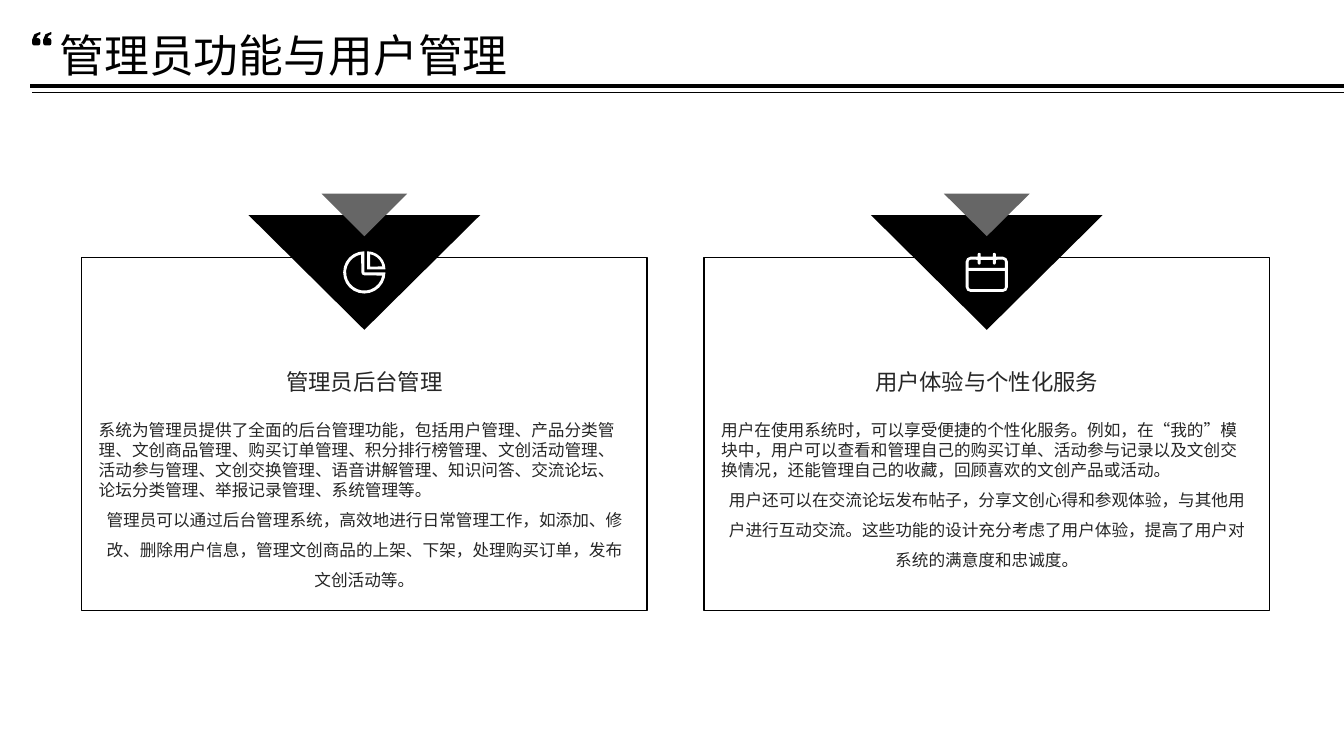
from dataclasses import dataclass
from math import cos, radians, sin

from lxml.etree import SubElement
from pptx import Presentation
from pptx.dml.color import RGBColor
from pptx.enum.shapes import MSO_CONNECTOR, MSO_SHAPE
from pptx.enum.text import MSO_ANCHOR, MSO_AUTO_SIZE, PP_ALIGN
from pptx.oxml.ns import qn
from pptx.shapes.base import BaseShape
from pptx.slide import Slide
from pptx.text.text import TextFrame
from pptx.util import Length, Pt

Points = list[tuple[float, float]]


@dataclass(frozen=True)
class Theme:
    font: str = "Noto Sans CJK SC"
    black: RGBColor = RGBColor(0, 0, 0)
    white: RGBColor = RGBColor(255, 255, 255)
    gray: RGBColor = RGBColor(0x66, 0x66, 0x66)
    ink: RGBColor = RGBColor(0x26, 0x26, 0x26)
    title_size: Length = Pt(32)
    heading_size: Length = Pt(16)
    body_size: Length = Pt(11.9)


@dataclass(frozen=True)
class Panel:
    heading: str
    summary: str
    detail: str
    icon: list[Points]


@dataclass(frozen=True)
class Triangle:
    top: float
    width: float
    height: float
    color: RGBColor


THEME = Theme()
PANEL_LEFT, PANEL_TOP, PANEL_WIDTH, PANEL_HEIGHT = 58.3, 183.8, 403.9, 252.4
PANEL_PITCH = 444.6
TEXT_WIDTH = 379.4
ICON_MIDDLE = 194.6
RULE_LEFT, SLIDE_WIDTH, SLIDE_HEIGHT = 23, 960, 540
TRIANGLES = [
    Triangle(153.6, 165.6, 82, THEME.black),
    Triangle(138.4, 61.2, 30.3, THEME.gray),
]


def arc(x: float, y: float, radius: float, start: int, end: int) -> Points:
    """Points on a circle; angles in degrees run clockwise from the right."""
    steps = round(abs(end - start) / (15 if radius > 10 else 45))
    angles = [radians(start + (end - start) * i / steps) for i in range(steps + 1)]
    return [(x + radius * cos(a), y + radius * sin(a)) for a in angles]


def ring_tabs(edge: float, middle: float, end_angle: int) -> Points:
    """Round-ended tabs of the calendar, standing on or hanging from an edge."""
    points: Points = []
    for x in (-5.4, 5.4):
        points += [(x - 1.1, edge), *arc(x, middle, 1.1, 180, end_angle), (x + 1.1, edge)]
    return points


def calendar_top(radius: float, tabs: Points) -> Points:
    return arc(-11.5, -7.6, radius, 180, 270) + tabs + arc(11.5, -7.6, radius, 270, 360)


def calendar_bottom(radius: float) -> Points:
    return arc(11.5, 10.4, radius, 0, 90) + arc(-11.5, 10.4, radius, 90, 180)


def quote_mark(left: float) -> Points:
    mark = [
        (5.8, 0), (5.8, 1.5), (4, 2.4), (2.9, 4.3),
        *arc(4.3, 5.8, 1.5, 270, 360), *arc(4.3, 8, 1.5, 0, 90),
        *arc(1.5, 8, 1.5, 90, 180), *arc(5.3, 5.3, 5.3, 180, 270),
    ]
    return [(left + x, y) for x, y in mark]


PIE_ICON = [
    arc(0, 0, 15.1, 0, 270) + [(0, 0)],
    arc(0, 0, 13, 10, 260) + arc(0, 0, 2.1, 180, 90),
    arc(2.1, -2.1, 13, 270, 360) + [(2.1, -2.1)],
    arc(2.1, -2.1, 11.1, 281, 349) + [(4.2, -4.2)],
]
CALENDAR_ICON = [
    calendar_top(3.6, ring_tabs(-11.2, -12.9, 360)) + calendar_bottom(3.6),
    calendar_top(1.5, ring_tabs(-9, -6.7, 0)) + [(13, -3.2), (-13, -3.2)],
    [(-13, -1.1), (13, -1.1)] + calendar_bottom(1.5),
]
PANELS = [
    Panel(
        "管理员后台管理",
        "系统为管理员提供了全面的后台管理功能，包括用户管理、产品分类管理、文创商品管理、购买订单管理、积分排行榜管理、文创活动管理、活动参与管理、文创交换管理、语音讲解管理、知识问答、交流论坛、论坛分类管理、举报记录管理、系统管理等。",
        "管理员可以通过后台管理系统，高效地进行日常管理工作，如添加、修改、删除用户信息，管理文创商品的上架、下架，处理购买订单，发布文创活动等。",
        PIE_ICON,
    ),
    Panel(
        "用户体验与个性化服务",
        "用户在使用系统时，可以享受便捷的个性化服务。例如，在“我的”模块中，用户可以查看和管理自己的购买订单、活动参与记录以及文创交换情况，还能管理自己的收藏，回顾喜欢的文创产品或活动。",
        "用户还可以在交流论坛发布帖子，分享文创心得和参观体验，与其他用户进行互动交流。这些功能的设计充分考虑了用户体验，提高了用户对系统的满意度和忠诚度。",
        CALENDAR_ICON,
    ),
]


def place(shape: BaseShape, left: float, top: float, width: float, height: float) -> None:
    shape.left, shape.top = Pt(left), Pt(top)
    shape.width, shape.height = Pt(width), Pt(height)


def write_text(frame: TextFrame, text: str, size: Length, color: RGBColor,
               anchor: MSO_ANCHOR, alignment: PP_ALIGN, spacing: float) -> None:
    """Fill a frame with one run, which keeps any newline inside the run."""
    frame.word_wrap = True
    frame.auto_size = MSO_AUTO_SIZE.NONE
    frame.vertical_anchor = anchor
    frame.margin_left = frame.margin_right = frame.margin_top = frame.margin_bottom = 0
    para = frame.paragraphs[0]
    para.alignment, para.line_spacing = alignment, spacing
    para.space_before = para.space_after = Pt(0)
    span = para.add_run()
    span.text = text
    span.font.size, span.font.name = size, THEME.font
    span.font.color.rgb = color
    SubElement(span.font._element, qn("a:ea"), typeface=THEME.font)


def fill_shape(shape: BaseShape, color: RGBColor) -> None:
    shape.shadow.inherit = False
    shape.fill.solid()
    shape.fill.fore_color.rgb = color
    shape.line.fill.background()


def add_outline(page: Slide, contours: list[Points], left: float, top: float,
                color: RGBColor) -> None:
    """Draw closed contours as one shape, with their origin at left, top."""
    scaled = [[(Pt(x), Pt(y)) for x, y in contour] for contour in contours]
    builder = page.shapes.build_freeform(*scaled[0][0])
    for index, contour in enumerate(scaled):
        if index:
            builder.move_to(*contour[0])
        builder.add_line_segments(contour[1:], close=True)
    fill_shape(builder.convert_to_shape(Pt(left), Pt(top)), color)


def add_rule(page: Slide, top: float, weight: float) -> None:
    rule = page.shapes.add_connector(
        MSO_CONNECTOR.STRAIGHT, Pt(RULE_LEFT), Pt(top), Pt(SLIDE_WIDTH), Pt(top))
    rule.line.color.rgb = THEME.black
    rule.line.width = Pt(weight)
    rule._element.spPr.find(qn("a:ln")).set("cap", "sq")
    SubElement(rule._element.spPr, qn("a:effectLst"))


def add_text_frame(page: Slide, center: float, top: float, height: float) -> TextFrame:
    box = page.shapes.add_textbox(
        Pt(center - TEXT_WIDTH / 2), Pt(top), Pt(TEXT_WIDTH), Pt(height))
    return box.text_frame


def add_panel(page: Slide, panel: Panel, left: float) -> None:
    center = left + PANEL_WIDTH / 2
    card = page.shapes.add_shape(
        MSO_SHAPE.RECTANGLE, Pt(left), Pt(PANEL_TOP), Pt(PANEL_WIDTH), Pt(PANEL_HEIGHT))
    fill_shape(card, THEME.white)
    card.line.color.rgb = THEME.black
    card.line.width = Pt(1)
    for triangle in TRIANGLES:
        shape = page.shapes.add_shape(
            MSO_SHAPE.FLOWCHART_EXTRACT, Pt(center - triangle.width / 2), Pt(triangle.top),
            Pt(triangle.width), Pt(triangle.height))
        shape.rotation = 180
        fill_shape(shape, triangle.color)
    add_outline(page, panel.icon, center, ICON_MIDDLE, THEME.white)
    write_text(add_text_frame(page, center, 300.2, 127.8), f"{panel.summary}\n{panel.detail}",
               THEME.body_size, THEME.ink, MSO_ANCHOR.TOP, PP_ALIGN.CENTER, 1.5)
    write_text(add_text_frame(page, center, 243.4, 52.6), panel.heading,
               THEME.heading_size, THEME.ink, MSO_ANCHOR.MIDDLE, PP_ALIGN.CENTER, 1.3)


def main() -> None:
    deck = Presentation()
    deck.slide_width, deck.slide_height = Pt(SLIDE_WIDTH), Pt(SLIDE_HEIGHT)
    page = deck.slides.add_slide(deck.slide_layouts.get_by_name("Title Only"))
    title = page.shapes.title
    place(title, 42.5, 18, 876.2, 33.8)
    write_text(title.text_frame, "管理员功能与用户管理", THEME.title_size, THEME.black,
               MSO_ANCHOR.MIDDLE, PP_ALIGN.LEFT, 1.2)
    for index, panel in enumerate(PANELS):
        add_panel(page, panel, PANEL_LEFT + index * PANEL_PITCH)
    add_outline(page, [quote_mark(0), quote_mark(7.9)], RULE_LEFT, 23, THEME.black)
    add_rule(page, 61.2, 3)
    add_rule(page, 66.2, 0.75)
    deck.save("out.pptx")


if __name__ == "__main__":
    main()
